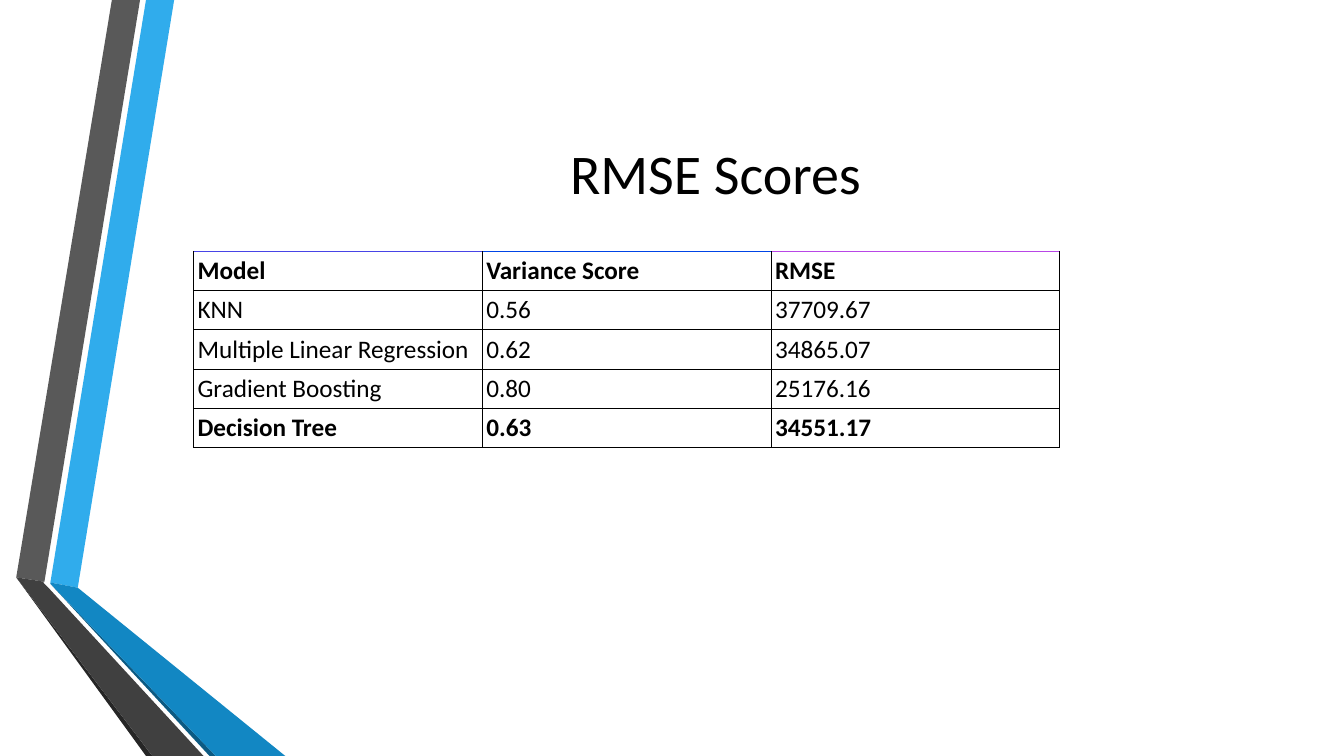
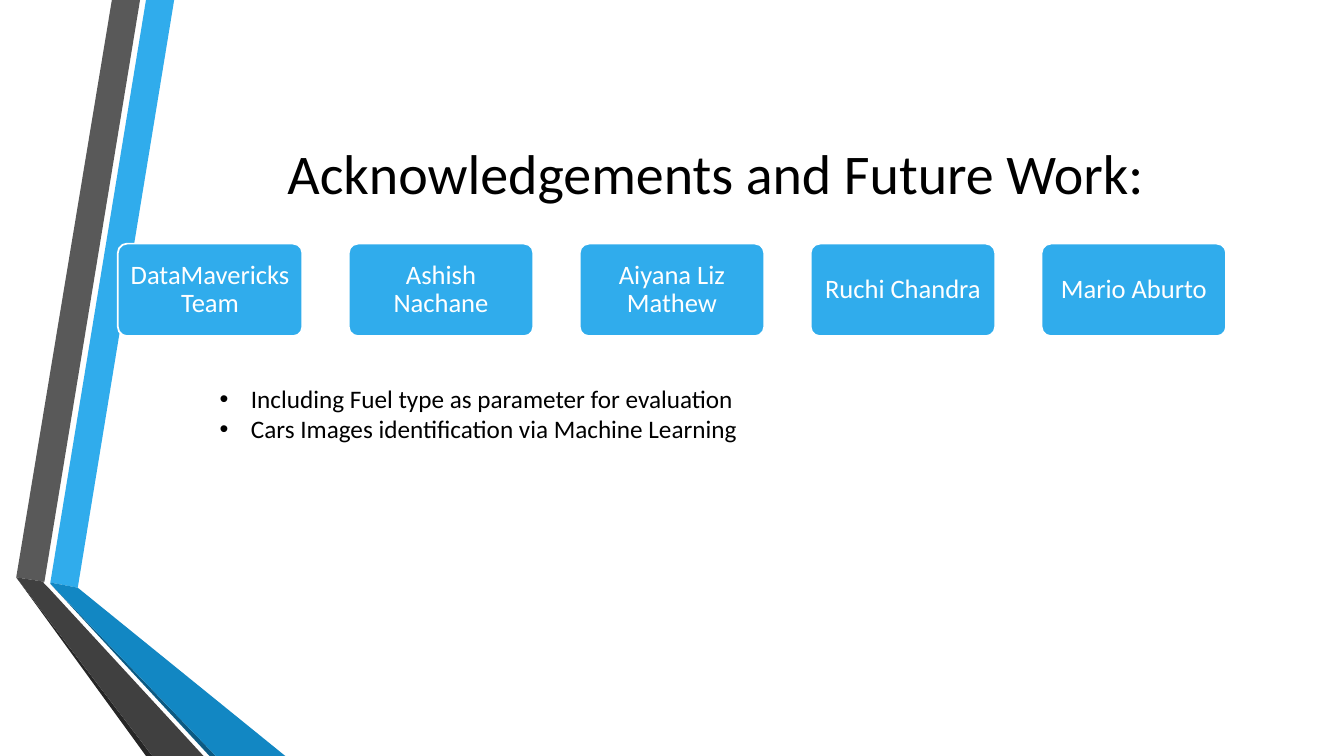
from lxml.etree import SubElement
from pptx import Presentation
from pptx.dml.color import RGBColor
from pptx.enum.shapes import MSO_SHAPE
from pptx.enum.text import MSO_ANCHOR, MSO_AUTO_SIZE, PP_ALIGN
from pptx.oxml.ns import qn
from pptx.util import Cm, Pt

FONT = "Calibri"
BLACK, WHITE, BLUE = "000000", "FFFFFF", "30ACEC"
TITLE_ONLY, TITLE_AND_BODY = 5, 1

# Ribbon pieces at the left edge: fill and corner points in centimetres
RIBBON = [
    (BLUE, [(1.27, 14.68), (1.96, 14.81), (4.39, 0), (3.68, 0)]),
    ("595959", [(3.53, 0), (2.82, 0), (0.41, 14.55), (1.12, 14.66)]),
    ("262626", [(0.41, 14.55), (3.68, 19.05), (3.84, 19.05)]),
    ("0C5A82", [(1.27, 14.71), (5.28, 19.05), (5.44, 19.05)]),
    ("1287C3", [(1.27, 14.71), (5.44, 19.05), (7.19, 19.05), (1.96, 14.81), (1.27, 14.68)]),
    ("404040", [(5.13, 19.05), (1.22, 14.81), (1.09, 14.68), (1.12, 14.66),
                (0.41, 14.55), (3.84, 19.05)]),
]

SCORES = [
    ("Model", "Variance Score", "RMSE"),
    ("KNN", "0.56", "37709.67"),
    ("Multiple Linear Regression", "0.62", "34865.07"),
    ("Gradient Boosting", "0.80", "25176.16"),
    ("Decision Tree", "0.63", "34551.17"),
]
BOLD_ROWS = (0, len(SCORES) - 1)
HEADER_TOP_COLORS = ("4844E6", "0044E6", "B846E6")

CONTRIBUTORS = ["DataMavericks Team", "Ashish Nachane", "Aiyana Liz Mathew",
                "Ruchi Chandra", "Mario Aburto"]
FUTURE_WORK = ["Including Fuel type as parameter for evaluation",
               "Cars Images identification via Machine Learning"]


def rgb(value):
    return RGBColor.from_string(value)


def place(shape, left, top, width, height):
    shape.left, shape.top = Cm(left), Cm(top)
    shape.width, shape.height = Cm(width), Cm(height)


def style_text(frame, size, color=BLACK, bold=False, align=PP_ALIGN.LEFT):
    for para in frame.paragraphs:
        para.alignment = align
        for span in para.runs:
            span.font.name = FONT
            span.font.size = Pt(size)
            span.font.bold = bold
            span.font.color.rgb = rgb(color)


def set_margins(holder, horizontal, vertical):
    holder.margin_left = holder.margin_right = Cm(horizontal)
    holder.margin_top = holder.margin_bottom = Cm(vertical)


def border_cell(cell, top_color):
    """Draw thin black cell borders, with a chosen colour on top."""
    properties = cell._tc.get_or_add_tcPr()
    sides = {"lnL": BLACK, "lnR": BLACK, "lnT": top_color, "lnB": BLACK}
    for side, color in sides.items():
        line = SubElement(properties, qn(f"a:{side}"), w=str(Pt(0.75)))
        fill = SubElement(line, qn("a:solidFill"))
        SubElement(fill, qn("a:srgbClr"), val=color)


class Slides:
    """The deck's style and the page being filled."""

    def __init__(self):
        self.deck = Presentation()
        self.deck.slide_width, self.deck.slide_height = Cm(33.87), Cm(19.05)
        self.page = None

    def add_page(self, layout, title):
        self.page = self.deck.slides.add_slide(self.deck.slide_layouts[layout])
        self.add_ribbon()
        box = self.page.shapes.title
        place(box, 4.11, 1.9, 27.84, 4.88)
        frame = box.text_frame
        frame.text = title
        frame.vertical_anchor = MSO_ANCHOR.MIDDLE
        frame.auto_size = MSO_AUTO_SIZE.NONE
        style_text(frame, 40, align=PP_ALIGN.CENTER)

    def add_ribbon(self):
        for color, corners in RIBBON:
            points = [(Cm(x), Cm(y)) for x, y in corners]
            builder = self.page.shapes.build_freeform(*points[0])
            builder.add_line_segments(points[1:], close=True)
            piece = builder.convert_to_shape()
            piece.shadow.inherit = False
            piece.fill.solid()
            piece.fill.fore_color.rgb = rgb(color)
            piece.line.fill.background()

    def add_score_table(self, rows):
        table = self.page.shapes.add_table(
            len(rows), len(rows[0]), Cm(4.88), Cm(6.33), Cm(21.83), Cm(4.95)).table
        table.first_row = table.horz_banding = False
        for row_index, row in enumerate(rows):
            is_header = row_index == 0
            for column_index, text in enumerate(row):
                cell = table.cell(row_index, column_index)
                cell.text = text
                set_margins(cell, 0.1, 0.1)
                cell.vertical_anchor = MSO_ANCHOR.BOTTOM if is_header else MSO_ANCHOR.MIDDLE
                style_text(cell.text_frame, 18, bold=row_index in BOLD_ROWS)
                border_cell(cell, HEADER_TOP_COLORS[column_index] if is_header else BLACK)
                cell.fill.solid()
                cell.fill.fore_color.rgb = rgb(WHITE)

    def add_name_row(self, names):
        for index, name in enumerate(names):
            box = self.page.shapes.add_shape(
                MSO_SHAPE.ROUNDED_RECTANGLE,
                Cm(2.97 + 5.82 * index), Cm(6.14), Cm(4.65), Cm(2.33))
            box.adjustments[0] = 0.1
            box.shadow.inherit = False
            box.fill.solid()
            box.fill.fore_color.rgb = rgb(BLUE)
            box.line.color.rgb = rgb(WHITE)
            box.line.width = Pt(1.25)
            frame = box.text_frame
            frame.text = name
            frame.word_wrap = True
            frame.vertical_anchor = MSO_ANCHOR.MIDDLE
            set_margins(frame, 0.14, 0.1)
            frame.paragraphs[0].line_spacing = 0.9
            style_text(frame, 19, WHITE, align=PP_ALIGN.CENTER)

    def add_bullets(self, items):
        body = self.page.placeholders[1]
        place(body, 5.28, 9.53, 25.76, 3.33)
        frame = body.text_frame
        frame.text = "\n".join(items)
        frame.auto_size = MSO_AUTO_SIZE.NONE
        style_text(frame, 18)
        for para in frame.paragraphs:
            para.space_before = Pt(0)
            properties = para._p.get_or_add_pPr()
            properties.set("marL", str(Cm(0.79)))
            properties.set("indent", str(-Cm(0.79)))
            SubElement(properties, qn("a:buChar"), char="•")


def main():
    slides = Slides()
    slides.add_page(TITLE_ONLY, "RMSE Scores")
    slides.add_score_table(SCORES)
    slides.add_page(TITLE_AND_BODY, "Acknowledgements and Future Work:")
    slides.add_name_row(CONTRIBUTORS)
    slides.add_bullets(FUTURE_WORK)
    slides.deck.save("out.pptx")


if __name__ == "__main__":
    main()
